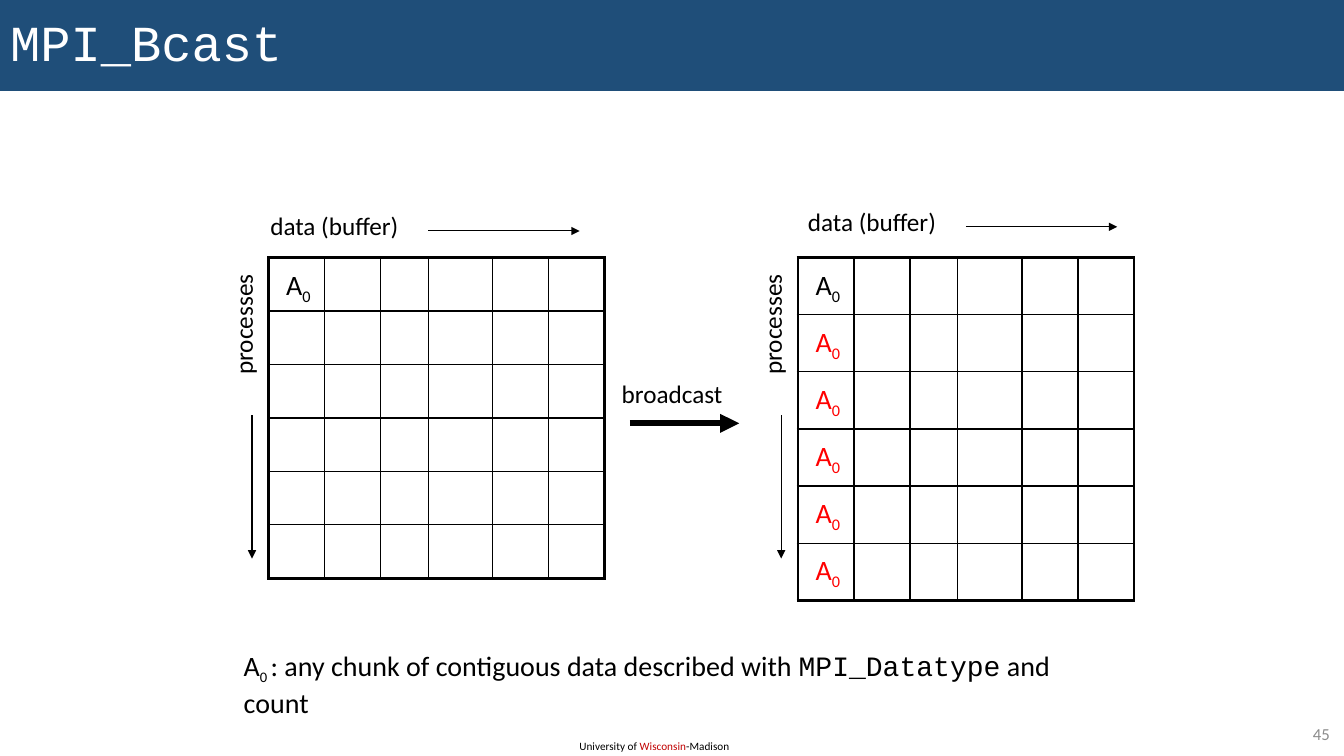
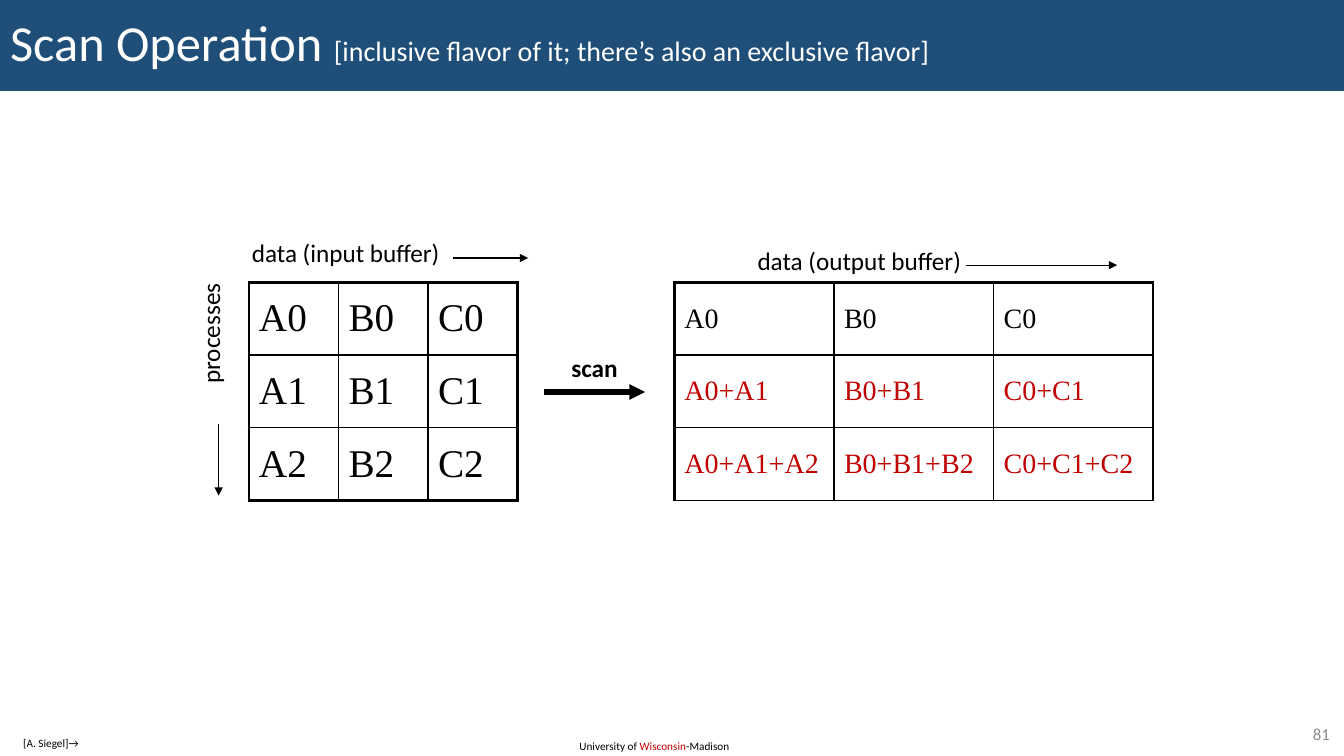
"""Builds two slides that explain the MPI broadcast and scan operations."""

from lxml import etree
from pptx import Presentation
from pptx.dml.color import RGBColor
from pptx.enum.shapes import MSO_CONNECTOR
from pptx.enum.text import MSO_ANCHOR, MSO_AUTO_SIZE, PP_ALIGN
from pptx.oxml.ns import qn
from pptx.util import Pt

STRAIGHT = MSO_CONNECTOR.STRAIGHT
MIDDLE = MSO_ANCHOR.MIDDLE
LEFT, RIGHT = PP_ALIGN.LEFT, PP_ALIGN.RIGHT
FIT_SHAPE, NO_FIT = MSO_AUTO_SIZE.SHAPE_TO_FIT_TEXT, MSO_AUTO_SIZE.NONE

WIDTH, HEIGHT = 960, 540
TITLE_ONLY = 5
SANS, MONO, SERIF = "Calibri", "Courier New", "Times New Roman"
NAVY, WHITE, BLACK, GREY = "1F4E79", "FFFFFF", "000000", "8C8C8C"
CRIMSON, RED = "C00000", "FF0000"
THIN, THICK = 1, 2.25


def rgb(value):
    """Turn a hex string into a colour."""
    return RGBColor.from_string(value)


class Deck:
    """Holds the shared style and the current slide."""

    def __init__(self):
        """Start an empty widescreen presentation."""
        self.presentation = Presentation()
        self.presentation.slide_width = Pt(WIDTH)
        self.presentation.slide_height = Pt(HEIGHT)
        self.slide = None

    def add_slide(self, title, number):
        """Add a slide with its title band, footer and number."""
        layout = self.presentation.slide_layouts[TITLE_ONLY]
        self.slide = self.presentation.slides.add_slide(layout)
        band = self.slide.shapes.title
        band.left, band.top, band.width, band.height = Pt(0), Pt(0), Pt(WIDTH), Pt(65)
        band.fill.solid()
        band.fill.fore_color.rgb = rgb(NAVY)
        frame = band.text_frame
        frame.auto_size = NO_FIT
        frame.word_wrap = True
        frame.vertical_anchor = MIDDLE
        heading = frame.paragraphs[0]
        heading.alignment = LEFT
        heading.line_spacing = 0.9
        self.add_runs(heading, title, size=36, color=WHITE)
        footer = ["University of ", ("Wisconsin", {"color": CRIMSON}), "-Madison"]
        self.label(footer, 406.8, 524.2, 124, 17, size=8, wrap=True)
        page = self.label([number], 902, 513.4, 55, 21, size=12, color=GREY)
        page.auto_size = NO_FIT
        page.vertical_anchor = MIDDLE
        page.word_wrap = True
        page.paragraphs[0].alignment = RIGHT

    def add_runs(self, paragraph, pieces, **base):
        """Fill a paragraph with runs, each a string or a (string, style) pair."""
        for piece in pieces:
            text, style = (piece, {}) if isinstance(piece, str) else piece
            look = {"size": 18, "font": SANS, "color": BLACK, **base, **style}
            run = paragraph.add_run()
            run.text = text
            run.font.size = Pt(look["size"])
            run.font.name = look["font"]
            run.font.color.rgb = rgb(look["color"])
            run.font.bold = look.get("bold", False)
            if look.get("subscript"):
                run.font._element.set("baseline", "-25000")

    def label(self, pieces, left, top, width, height=29, rotation=0, wrap=False, **style):
        """Add a text box and return its text frame."""
        box = self.slide.shapes.add_textbox(Pt(left), Pt(top), Pt(width), Pt(height))
        box.rotation = rotation
        frame = box.text_frame
        frame.word_wrap = wrap
        frame.auto_size = FIT_SHAPE
        self.add_runs(frame.paragraphs[0], pieces, **style)
        return frame

    def chunk(self, left, top, color=BLACK):
        """Add the name of the data chunk, with its subscript."""
        self.label(["A", ("0", {"subscript": True})], left, top, 33, 32, size=20, color=color)

    def arrow(self, start, end, weight=0.75):
        """Add a straight arrow between two points."""
        line = self.slide.shapes.add_connector(STRAIGHT, *map(Pt, start + end))
        line.line.color.rgb = rgb(BLACK)
        line.line.width = Pt(weight)
        etree.SubElement(line.line._get_or_add_ln(), qn("a:tailEnd"), type="triangle")
        etree.SubElement(line._element.spPr, qn("a:effectLst"))

    def processes(self, left, top, arrow_x, arrow_top, arrow_bottom):
        """Add the upright process axis beside a grid."""
        self.label(["processes"], left, top, 87, rotation=270)
        self.arrow((arrow_x, arrow_top), (arrow_x, arrow_bottom))

    def data_axis(self, text, left, top, width, arrow_left, arrow_right):
        """Add the data axis above a grid."""
        self.label([text], left, top, width)
        self.arrow((arrow_left, top + 18), (arrow_right, top + 18))

    def border(self, cell, side, weight):
        """Draw one border of a table cell."""
        edge = etree.SubElement(cell._tc.get_or_add_tcPr(), qn(f"a:ln{side}"), w=str(Pt(weight)))
        fill = etree.SubElement(edge, qn("a:solidFill"))
        etree.SubElement(fill, qn("a:srgbClr"), val=BLACK)

    def grid(self, rows, left, top, widths, row_height, size=18, changed=BLACK, bottom=THICK):
        """Add a ruled table; rows after the first take the changed colour."""
        last_row, last_column = len(rows) - 1, len(widths) - 1
        table = self.slide.shapes.add_table(
            len(rows), len(widths), Pt(left), Pt(top),
            Pt(sum(widths)), Pt(row_height * len(rows))).table
        table.first_row = table.horz_banding = False
        for column, width in zip(table.columns, widths):
            column.width = Pt(width)
        for r, row in enumerate(rows):
            table.rows[r].height = Pt(row_height)
            for c, text in enumerate(row):
                cell = table.cell(r, c)
                self.border(cell, "L", THIN if c else THICK)
                self.border(cell, "R", THICK if c == last_column else THIN)
                self.border(cell, "T", THIN if r else THICK)
                self.border(cell, "B", bottom if r == last_row else THIN)
                cell.fill.background()
                cell.vertical_anchor = MIDDLE
                if text:
                    self.add_runs(cell.text_frame.paragraphs[0], [text], size=size,
                                  font=SERIF, color=changed if r else BLACK)


def broadcast_slide(deck):
    """Build the broadcast slide."""
    deck.add_slide([("MPI_Bcast", {"font": MONO})], "45")
    buffer_widths = [40, 40, 34, 46, 40, 40]
    empty_rows = [[""] * 6] * 6
    sent_left, received_left, grid_top = 192, 570, 184
    received_height = 40.8
    for left, row_height, axis_left, axis_top in (
            (sent_left, 38.2, 186, 147), (received_left, received_height, 570, 144)):
        deck.grid(empty_rows, left, grid_top, buffer_widths, row_height)
        deck.processes(left - 62, 216.7, left - 12, 296.6, 399)
        deck.data_axis("data (buffer)", axis_left, axis_top, 107, axis_left + 120, axis_left + 228)
    deck.chunk(sent_left + 5.3, grid_top + 3.2)
    for process in range(6):
        deck.chunk(received_left + 5.6, grid_top + 3.2 + process * received_height,
                   RED if process else BLACK)
    deck.arrow((450, 302.4), (528, 302.4), 4.5)
    deck.label(["broadcast"], 437, 266.4, 87)
    deck.label(["A", ("0 ", {"size": 18, "subscript": True}),
                ": any chunk of contiguous data described with ",
                ("MPI_Datatype", {"font": MONO}), " and count"],
               167, 459.4, 637, 32, wrap=True, size=20)


def scan_slide(deck):
    """Build the scan slide."""
    note = "[inclusive flavor of it; there’s also an exclusive flavor]"
    deck.add_slide(["Scan Operation ", (note, {"size": 20})], "81")
    buffers = "ABC"
    inputs = [[f"{name}{process}" for name in buffers] for process in range(3)]
    outputs = [["+".join(f"{name}{step}" for step in range(process + 1)) for name in buffers]
               for process in range(3)]
    grid_top, row_height = 201.6, 52
    deck.grid(outputs, 481.7, grid_top, [114] * 3, row_height, 20, CRIMSON, THIN)
    deck.grid(inputs, 177.8, grid_top, [64] * 3, row_height, 28)
    deck.arrow((388.8, 280), (460.8, 280), 3.75)
    deck.label(["scan"], 401, 248.4, 48, bold=True)
    deck.processes(106.6, 223.2, 156.2, 303, 354)
    deck.data_axis("data (output buffer)", 534, 171.4, 162, 690, 798)
    deck.data_axis("data (input buffer)", 172.8, 166.3, 150.5, 323.3, 377.3)
    deck.label(["[A. Siegel]→"], 9.4, 522.7, 70, 17, size=8, wrap=True)


def main():
    """Build and save the presentation."""
    deck = Deck()
    broadcast_slide(deck)
    scan_slide(deck)
    deck.presentation.save("out.pptx")


if __name__ == "__main__":
    main()
